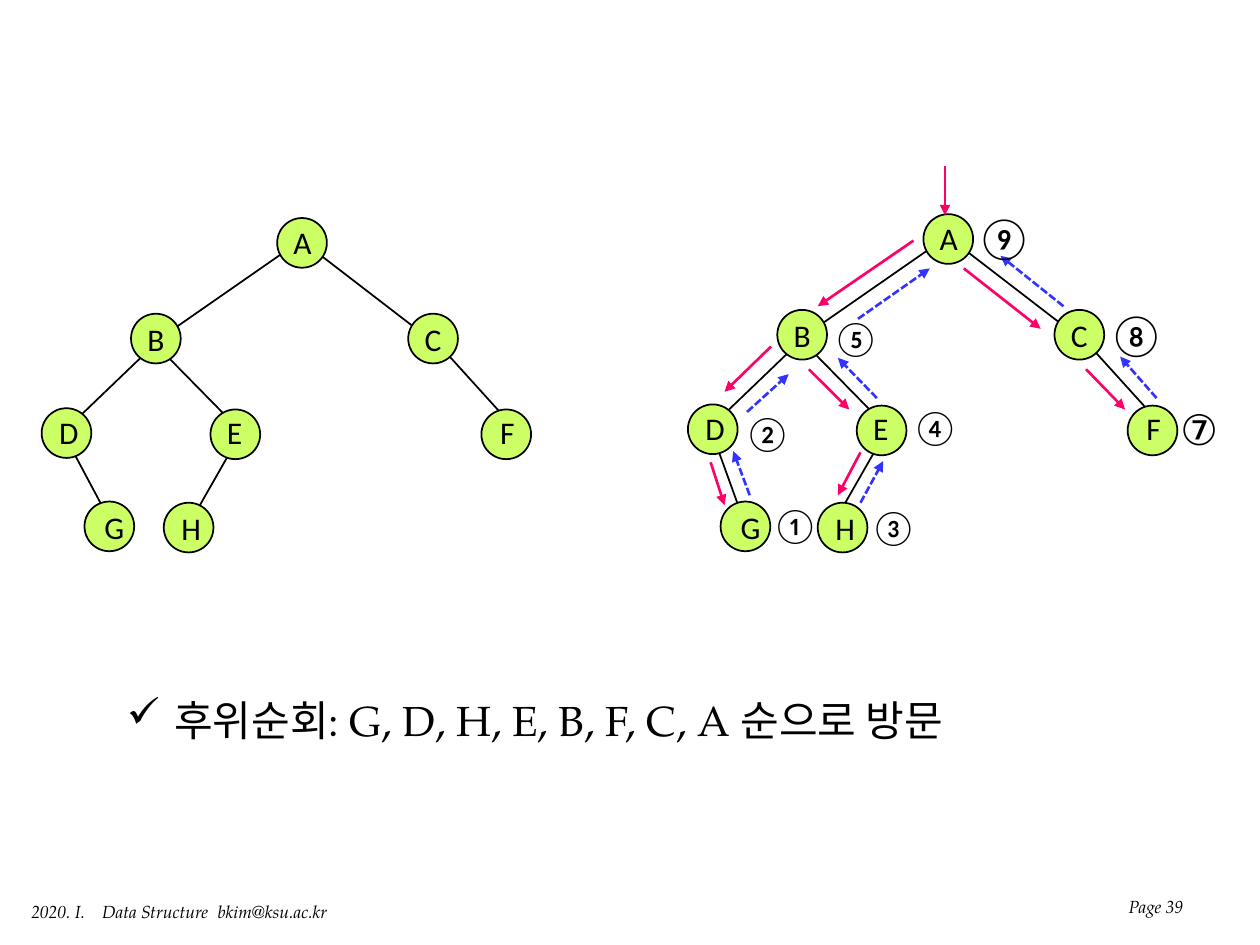
from pptx import Presentation
from pptx.dml.color import RGBColor as Rgb
from pptx.enum.dml import MSO_LINE as Dash
from pptx.enum.shapes import MSO_CONNECTOR as Conn, MSO_SHAPE as Shape
from pptx.enum.text import MSO_ANCHOR as Anchor, MSO_AUTO_SIZE as Fit, PP_ALIGN as Align
from pptx.oxml.ns import qn
from pptx.util import Pt
from lxml.etree import SubElement as Sub

COLORS = {"ink": "000000", "node": "CCFF66", "down": "FF0066", "back": "3333FF"}
SERIF, SANS = "TeX Gyre Pagella", "Calibri"
NODE = 28.4  # node diameter

# Node places and edge ends, from the corner of a tree
NODES = {"A": (134.6, 0), "B": (51.1, 54.7), "C": (209.5, 54.7), "D": (0, 108.7),
         "E": (96.5, 109.4), "F": (251.3, 109.4)}
EDGES = [(110.9, 128.2, 87.1, 169.9), (69.8, 77, 108.7, 116.6),
         (225.4, 70.6, 274.3, 124.6), (66.2, 70.6, 13, 121.7),
         (146.9, 13.7, 66.2, 69.8), (150.5, 14.4, 222.5, 69.8)]
# Letter shift within its node
SHIFTS = {"A": (2.2, -1), "D": (2.9, -0.7), "E": (2.2, -1.4), "F": (3.6, -1.4),
          "G": (4.3, 0), "H": (2.9, 0)}

# Traversal: each arrow runs from its first point to its tip
DOWN = [(146.9, -27.4, 146.9, 0.7), (128.9, 15.1, 74.2, 52.6),
        (47.5, 75.6, 20.9, 101.5), (13, 141.8, 20.9, 166.3),
        (69.1, 88.6, 92.2, 111.6), (98.6, 136.1, 85.7, 160.6),
        (157.7, 31, 201.6, 65.5), (227.5, 88.6, 249.8, 111.6)]
BACK = [(35.3, 160.6, 25.9, 135.4), (33.8, 113, 57.6, 91.4),
        (267.8, 105.1, 247, 81.4), (214.6, 52.6, 178.6, 23.8),
        (108, 105.1, 85.7, 82.1), (98.6, 164.9, 111.6, 141.1),
        (97.2, 59.8, 138.2, 31)]
STEPS = [("①", 41, 162, 20, SANS), ("②", 25.2, 109.4, 20, SANS),
         ("③", 97.2, 162.7, 20, SANS), ("④", 121, 105.8, 20, SANS),
         ("⑤", 75.6, 54.7, 20, SANS), ("⑦", 274.3, 104.4, 24, "Roboto"),
         ("⑧", 233.3, 50.4, 24, SANS), ("⑨", 157.7, -5, 24, SANS)]


def rgb(name):
    return Rgb.from_string(COLORS[name])


def add_text(slide, box, text, size, face=SANS, align=Align.LEFT, italic=None,
             bullet=None, tabs=(), **frame):
    shape = slide.shapes.add_textbox(*map(Pt, box))
    style = {"word_wrap": True, "auto_size": Fit.SHAPE_TO_FIT_TEXT, **frame}
    for key, val in style.items():
        setattr(shape.text_frame, key, val)
    para = shape.text_frame.paragraphs[0]
    para.text, para.alignment = text, align
    props = para._p.get_or_add_pPr()
    if bullet:
        props.set("marL", str(Pt(27)))
        props.set("indent", str(Pt(-27)))
        Sub(props, qn("a:buChar"), char=bullet)
    if tabs:
        stops = Sub(props, qn("a:tabLst"))
        for stop in tabs:
            Sub(stops, qn("a:tab"), pos=str(Pt(stop)), algn="l")
    for key, val in {"size": Pt(size), "name": face, "italic": italic}.items():
        setattr(para.runs[0].font, key, val)
    para.runs[0].font.color.rgb = rgb("ink")


def add_line(slide, left, top, ends, color="ink", width=1, dash=None, arrow=False):
    x1, y1, x2, y2 = ends
    line = slide.shapes.add_connector(Conn.STRAIGHT, Pt(left + x1), Pt(top + y1),
                                      Pt(left + x2), Pt(top + y2))
    line.line.color.rgb = rgb(color)
    line.line.width = Pt(width)
    if dash:
        line.line.dash_style = dash
    if arrow:
        Sub(line.line._get_or_add_ln(), qn("a:tailEnd"), type="triangle")
    Sub(line._element.spPr, qn("a:effectLst"))


def add_tree(slide, left, top, leaves, last):
    """Draw a tree; leaves places G and H, last is the edge from D to G."""
    nodes = {**NODES, **leaves}
    for ends in [last, *EDGES]:
        add_line(slide, left, top, ends)
    for x, y in nodes.values():
        dot = slide.shapes.add_shape(Shape.OVAL, Pt(left + x), Pt(top + y),
                                     Pt(NODE), Pt(NODE))
        dot.shadow.inherit = False
        dot.fill.solid()
        dot.fill.fore_color.rgb = rgb("node")
        dot.line.color.rgb = rgb("ink")
        dot.line.width = Pt(1)
    for name, (x, y) in nodes.items():
        dx, dy = SHIFTS.get(name, (2.2, 0))
        add_text(slide, (left + x + dx, top + y + dy, 22.3, 28.8), name, 18,
                 align=Align.CENTER, vertical_anchor=Anchor.MIDDLE)


def add_walk(slide, left, top):
    """Draw the visiting arrows and step numbers over a tree."""
    for ends in DOWN:
        add_line(slide, left, top, ends, "down", 1.5, arrow=True)
    for ends in BACK:
        add_line(slide, left, top, ends, "back", 1.5, Dash.SQUARE_DOT, True)
    for mark, x, y, size, face in STEPS:
        wide, high = (34.6, 31.7) if size == 20 else (36, 36)
        add_text(slide, (left + x, top + y, wide, high), mark, size, face,
                 word_wrap=False)


def add_footer(slide, left, top):
    add_text(slide, (left, top, 185.8, 19.4), "2020. I.\tData Structure\tbkim@ksu.ac.kr",
             10, SERIF, italic=True, tabs=(40.5, 106.5), word_wrap=False)
    add_text(slide, (left + 541.4, top - 19.4, 131, 36), "Page 39", 10, SERIF,
             Align.RIGHT, True, vertical_anchor=Anchor.BOTTOM, auto_size=Fit.NONE)


def main():
    deck = Presentation()
    deck.slide_width, deck.slide_height = Pt(720), Pt(540)
    slide = deck.slides.add_slide(deck.slide_layouts[6])
    # Plain tree, then the tree with its traversal
    add_tree(slide, 23.8, 124.6, {"G": (24.5, 162), "H": (69.8, 162.7)},
             (14.4, 126.7, 37.4, 169.9))
    add_tree(slide, 393.1, 122.4, {"G": (18.7, 164.2), "H": (74.2, 164.9)},
             (14.4, 126.7, 29.5, 168.5))
    add_walk(slide, 393.1, 122.4)
    # Visiting order
    add_text(slide, (65.5, 393.1, 645.8, 36),
             "후위순회: G, D, H, E, B, F, C, A 순으로 방문", 24, SERIF, bullet="✓")
    add_footer(slide, 10.8, 511.2)
    deck.save("out.pptx")


if __name__ == "__main__":
    main()
